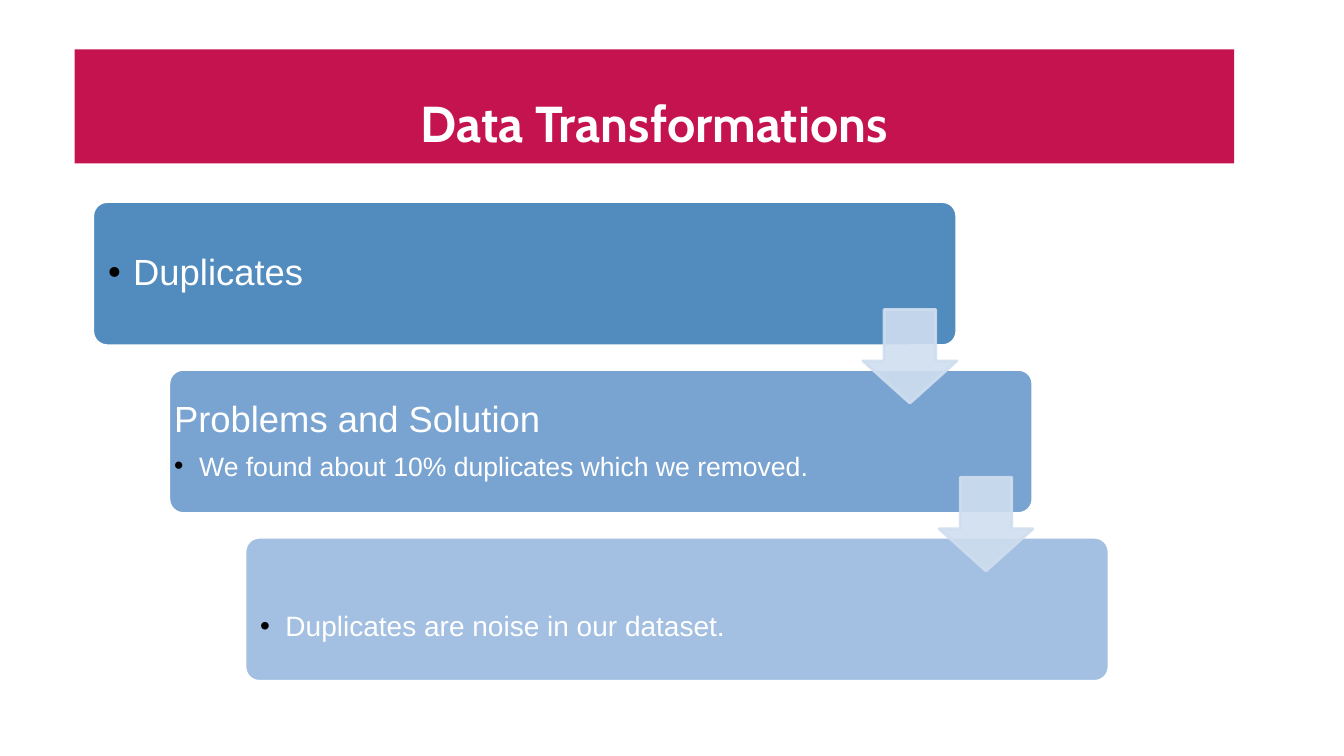
from dataclasses import dataclass

from lxml import etree
from pptx import Presentation, util as u
from pptx.dml import color
from pptx.enum import shapes, text
from pptx.oxml import ns


@dataclass(frozen=True)
class Theme:
    """Colours, fonts and type sizes of the slide."""
    banner: str = "C4134E"
    cards: tuple = ("528CBE", "79A3D0", "A3BFE1")
    arrow: str = "CFDEEF"
    light: str = "FFFFFF"
    dot: str = "000000"
    head: str = "Cabin"
    body: str = "Arial"
    title: int = 36
    large: int = 26
    small: int = 20
    note: int = 19


@dataclass(frozen=True)
class Box:
    """A region in inches."""
    x: float
    y: float
    w: float
    h: float

    def emu(self):
        """Return the four lengths for a shape."""
        return [u.Inches(n) for n in (self.x, self.y, self.w, self.h)]


THEME = Theme()
STEPS = [
    dict(lines=[("Duplicates", THEME.large, True)], left=0.11, top=0.11),
    dict(lines=[("Problems and Solution", THEME.large, False),
                ("We found about 10% duplicates which we removed.", THEME.note, True)],
         left=0.01, top=0.11),
    dict(lines=[("Duplicates are noise in our dataset.", THEME.small, True)],
         left=0.11, top=0.47),
]


def paint(shape, fill, line):
    """Give a shape a flat fill and a two-point outline."""
    shape.shadow.inherit = False
    shape.fill.solid()
    shape.fill.fore_color.rgb = color.RGBColor.from_string(fill)
    shape.line.color.rgb = color.RGBColor.from_string(line)
    shape.line.width = u.Pt(2)


def style(para, face, size, bold=False):
    """Format the runs and line spacing of a paragraph."""
    para.line_spacing = 0.9
    for run in para.runs:
        run.font.name = face
        run.font.size = u.Pt(size)
        run.font.bold = bold
        run.font.color.rgb = color.RGBColor.from_string(THEME.light)


def bullet(para):
    """Add a dark round bullet with a hanging indent."""
    props = para._p.get_or_add_pPr()
    props.set("marL", str(u.Inches(0.25)))
    props.set("indent", str(-u.Inches(0.25)))
    tint = etree.SubElement(props, ns.qn("a:buClr"))
    etree.SubElement(tint, ns.qn("a:srgbClr"), val=THEME.dot)
    etree.SubElement(props, ns.qn("a:buFont"), typeface=THEME.body)
    etree.SubElement(props, ns.qn("a:buChar"), char="•")


def banner(slide, box, words):
    """Place the title on its coloured band."""
    title = slide.shapes.title
    title.left, title.top, title.width, title.height = box.emu()
    title.fill.solid()
    title.fill.fore_color.rgb = color.RGBColor.from_string(THEME.banner)
    frame = title.text_frame
    frame.text = words
    frame.auto_size = text.MSO_AUTO_SIZE.NONE
    frame.vertical_anchor = text.MSO_ANCHOR.BOTTOM
    frame.margin_left = frame.margin_right = u.Inches(0.1)
    frame.margin_top = frame.margin_bottom = u.Inches(0.1)
    para = frame.paragraphs[0]
    para.alignment = text.PP_ALIGN.CENTER
    style(para, THEME.head, THEME.title, True)


def card(slide, box, fill, lines, left, top):
    """Draw one rounded card with its lines of text."""
    shape = slide.shapes.add_shape(shapes.MSO_SHAPE.ROUNDED_RECTANGLE, *box.emu())
    shape.adjustments[0] = 0.1
    paint(shape, fill, THEME.light)
    frame = shape.text_frame
    frame.word_wrap = True
    frame.vertical_anchor = text.MSO_ANCHOR.MIDDLE
    frame.margin_left, frame.margin_top = u.Inches(left), u.Inches(top)
    frame.margin_right = frame.margin_bottom = u.Inches(0.11)
    frame.text = "\n".join(words for words, _, _ in lines)
    for row, (para, (_, size, dotted)) in enumerate(zip(frame.paragraphs, lines)):
        para.alignment = text.PP_ALIGN.LEFT
        if row:
            para.space_before = u.Pt(9.1)
        if dotted:
            bullet(para)
        style(para, THEME.body, size)


def arrow(slide, box):
    """Draw one translucent down arrow."""
    shape = slide.shapes.add_shape(shapes.MSO_SHAPE.DOWN_ARROW, *box.emu())
    shape.adjustments[0] = 0.55
    shape.adjustments[1] = 0.45
    paint(shape, THEME.arrow, THEME.arrow)
    for tint in shape._element.spPr.iter(ns.qn("a:srgbClr")):
        etree.SubElement(tint, ns.qn("a:alpha"), val="90000")


def stairs(slide, box, steps):
    """Lay the cards out as descending stairs joined by arrows."""
    wide, high, side = 8.57, 1.43, 0.93
    gaps = len(steps) - 1
    across, down = (box.w - wide) / gaps, (box.h - high) / gaps
    spots = [Box(box.x + i * across, box.y + i * down, wide, high)
             for i in range(len(steps))]
    for spot, fill, step in zip(spots, THEME.cards, steps):
        card(slide, spot, fill, **step)
    for spot in spots[:-1]:
        arrow(slide, Box(spot.x + wide - side, spot.y + 1.07, side, side))


def main():
    """Build and save the slide."""
    deck = Presentation()
    deck.slide_width, deck.slide_height = u.Inches(13.33), u.Inches(7.5)
    slide = deck.slides.add_slide(deck.slide_layouts[5])
    banner(slide, Box(0.74, 0.49, 11.5, 1.13), "Data Transformations")
    stairs(slide, Box(0.92, 2, 10.08, 4.76), STEPS)
    deck.save("out.pptx")


if __name__ == "__main__":
    main()
